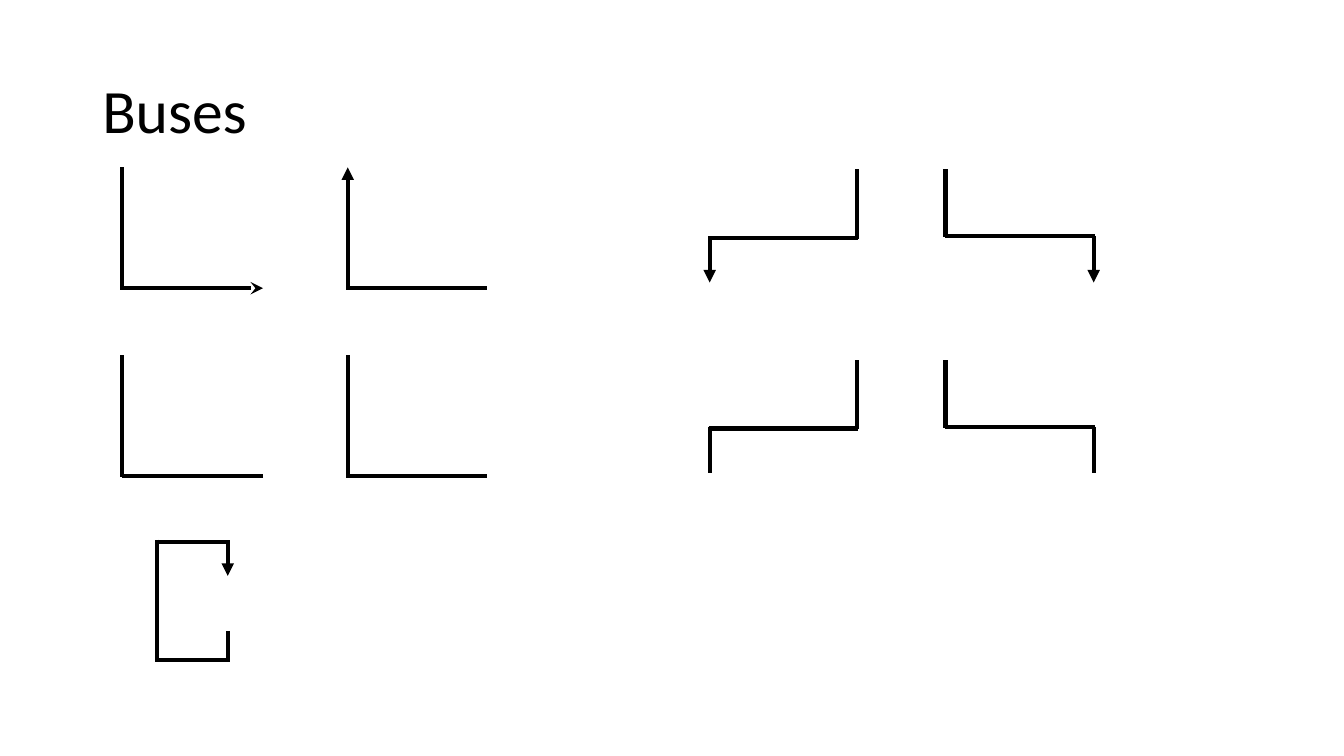
from typing import NamedTuple

from lxml import etree
from pptx import Presentation
from pptx.dml import color
from pptx.enum import shapes, text
from pptx.oxml import ns
from pptx.util import Pt

BLACK = color.RGBColor(0, 0, 0)
FONT = "Calibri"
WEIGHT = 3


class Wire(NamedTuple):
    """One straight part of a bus, in points, with arrowheads at its ends."""
    x1: float
    y1: float
    x2: float
    y2: float
    head: str = ""
    tail: str = ""


def corner(x: float, y: float, left: float, right: float,
           up: str = "", side: str = "") -> list[Wire]:
    """Return an L-shaped bus whose upright starts at x, y."""
    return [Wire(x, y, x, y + 87.4, head=up),
            Wire(right, y + 86.4, left, y + 86.4, head=side)]


def step(drop: float, leg: float, y: float, deep: float,
         tip: str = "") -> list[Wire]:
    """Return a bus that falls at drop, crosses over and falls at leg."""
    left, right = sorted((drop, leg))
    bar = y + deep
    return [Wire(drop, y, drop, bar + 0.5),
            Wire(left - 0.7, bar, right + 0.7, bar),
            Wire(leg, y + 47.7, leg, y + 80.8, tail=tip)]


def loop(left: float, right: float, top: float, low: float) -> list[Wire]:
    """Return a bus that leaves to the left and comes back above."""
    return [Wire(right, top + 24, right, top - 0.7, head="triangle"),
            Wire(left - 0.7, top, right + 1.4, top),
            Wire(left, top - 2, left, low + 1.4),
            Wire(right + 1.4, low, left, low),
            Wire(right, low - 21, right, low + 1.4)]


def draw(slide, wires: list[Wire]) -> None:
    """Draw the wires of one bus as a group."""
    group = slide.shapes.add_group_shape()
    for wire in wires:
        ends = (Pt(v) for v in wire[:4])
        line = group.shapes.add_connector(
            shapes.MSO_CONNECTOR.STRAIGHT, *ends)
        line.line.color.rgb = BLACK
        line.line.width = Pt(WEIGHT)
        props = line._element.spPr
        stroke = props.find(ns.qn("a:ln"))
        for tag, kind in (("a:headEnd", wire.head), ("a:tailEnd", wire.tail)):
            if kind:
                etree.SubElement(stroke, ns.qn(tag), type=kind)
        etree.SubElement(props, ns.qn("a:effectLst"))


def title(slide, words: str) -> None:
    """Write the slide title."""
    box = slide.shapes.add_textbox(Pt(66), Pt(28.8), Pt(828), Pt(104.4))
    frame = box.text_frame
    frame.word_wrap = True
    frame.vertical_anchor = text.MSO_ANCHOR.MIDDLE
    frame.text = words
    line = frame.paragraphs[0]
    line.line_spacing = 0.9
    font = line.runs[0].font
    font.name, font.size, font.color.rgb = FONT, Pt(44), BLACK


def main() -> None:
    """Build the slide and save it."""
    deck = Presentation()
    deck.slide_width, deck.slide_height = Pt(960), Pt(540)
    slide = deck.slides.add_slide(deck.slide_layouts[6])
    title(slide, "Buses")
    # Each row: top of corners, top of steps, and the arrowheads it carries
    rows = ((119.5, 121, "stealth", "triangle"), (253.6, 257.2, "", ""))
    for y, high, side, tip in rows:
        draw(slide, corner(87.1, y, 87.1, 187.9, side=side))
        draw(slide, corner(248.4, y, 247, 347.8, up=tip))
        draw(slide, step(612, 506.9, high, 48.9, tip))
        draw(slide, step(675.4, 781.2, high, 47.7, tip))
    draw(slide, loop(112.3, 162.7, 387.4, 471.6))
    deck.save("out.pptx")


main()
